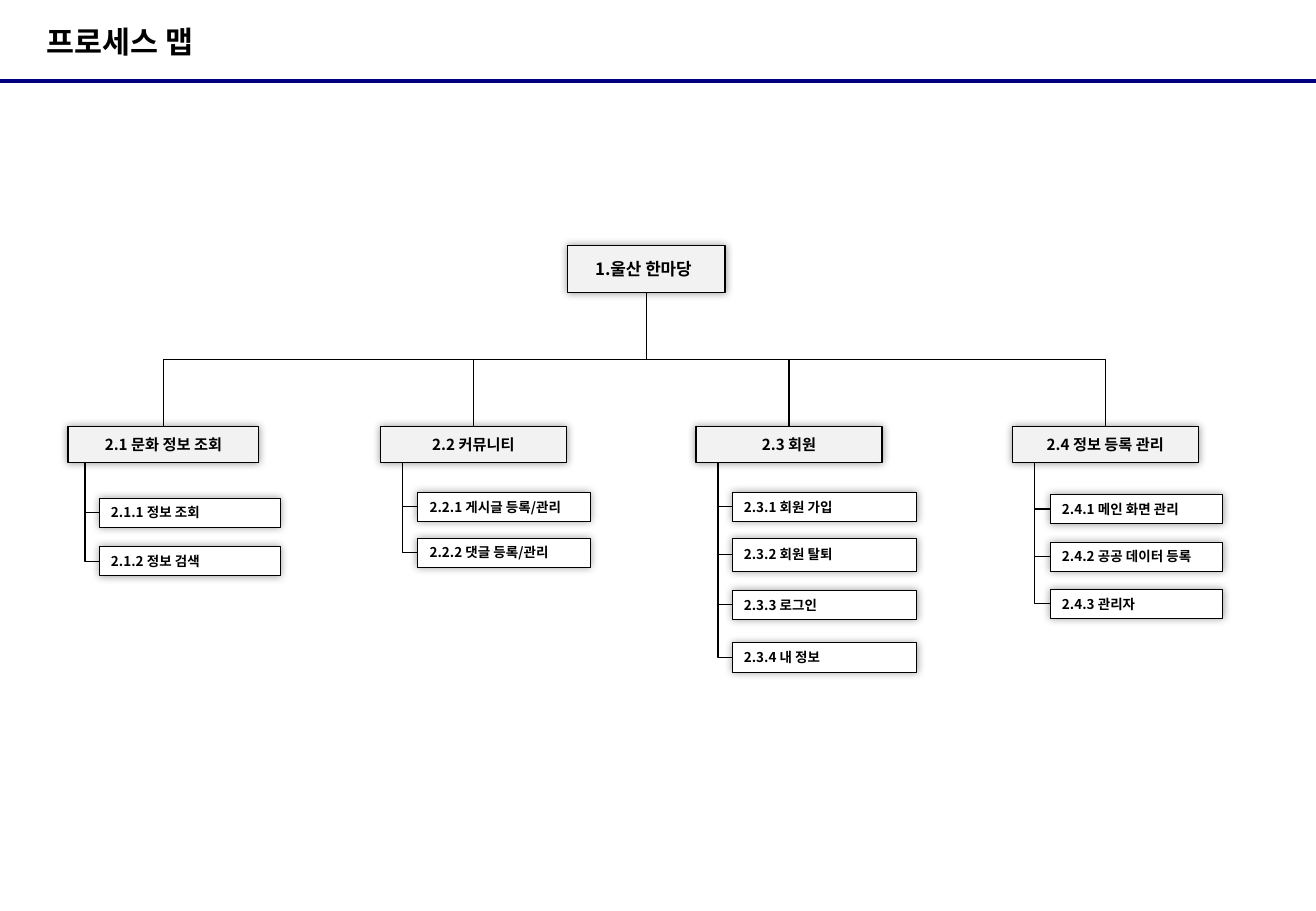
from dataclasses import dataclass

import pptx
import pptx.dml.color
import pptx.enum.shapes
import pptx.enum.text
import pptx.oxml
import pptx.oxml.ns
import pptx.util
from pptx.util import Cm, Pt

TITLE = "프로세스 맵"
ROOT = "1.울산 한마당"
# Lengths in cm; each step is (label, top, height).
BRANCHES = [
    dict(label="2.1 문화 정보 조회", left=1.42, width=3.99, spine=1.78,
         step_left=2.07, step_width=3.78,
         steps=[("2.1.1 정보 조회", 10.41, 0.61), ("2.1.2 정보 검색", 11.43, 0.61)]),
    dict(label="2.2 커뮤니티", left=7.95, width=3.89, spine=8.41,
         step_left=8.73, step_width=3.61,
         steps=[("2.2.1 게시글 등록/관리", 10.29, 0.61),
                ("2.2.2 댓글 등록/관리", 11.25, 0.61)]),
    dict(label="2.3 회원", left=14.55, width=3.89, spine=15.01,
         step_left=15.3, step_width=3.86,
         steps=[("2.3.1 회원 가입", 10.29, 0.61), ("2.3.2 회원 탈퇴", 11.25, 0.69),
                ("2.3.3 로그인", 12.34, 0.61), ("2.3.4 내 정보", 13.44, 0.61)]),
    dict(label="2.4 정보 등록 관리", left=21.16, width=3.89, spine=21.62,
         step_left=21.95, step_width=3.61,
         steps=[("2.4.1 메인 화면 관리", 10.34, 0.61),
                ("2.4.2 공공 데이터 등록", 11.33, 0.61),
                ("2.4.3 관리자", 12.32, 0.61)]),
]
PAGE_WIDTH, PAGE_HEIGHT = 27.51, 19.05
RULE_TOP = 1.7
ROOT_BOX = (11.86, 5.13, 3.3, 0.99)
BRANCH_TOP, BRANCH_HEIGHT = 8.92, 0.76


@dataclass(frozen=True)
class Theme:
    ink: str = "000000"
    rule: str = "000080"
    group_fill: str = "F2F2F2"
    step_fill: str = "FFFFFF"
    title_font: str = "Arial"
    body_font: str = "Noto Sans CJK KR"
    title_size: float = 18
    root_size: float = 10
    branch_size: float = 9
    step_size: float = 8
    rule_line: float = 2.25
    line: float = 0.75
    step_line: float = 0.25


THEME = Theme()
CENTER = pptx.enum.text.PP_ALIGN.CENTER
LEFT = pptx.enum.text.PP_ALIGN.LEFT
KIND = pptx.enum.shapes.MSO_CONNECTOR


def rgb(value):
    return pptx.dml.color.RGBColor.from_string(value)


def xml(tag, attributes="", inner=""):
    space = pptx.oxml.ns.nsdecls("a")
    return pptx.oxml.parse_xml(f"<a:{tag} {space} {attributes}>{inner}</a:{tag}>")


def write(shape, text, *, size, font=THEME.body_font, align=LEFT, margins=None):
    """Put one bold line in a shape; margins are left, top, right, bottom in cm."""
    frame = shape.text_frame
    frame.word_wrap = True
    frame.vertical_anchor = pptx.enum.text.MSO_ANCHOR.MIDDLE
    if margins:
        (frame.margin_left, frame.margin_top,
         frame.margin_right, frame.margin_bottom) = map(Cm, margins)
    para = frame.paragraphs[0]
    para.alignment = align
    span = para.add_run()
    span.text = text
    span.font.name = font
    span.font.size = Pt(size)
    span.font.bold = True
    span.font.color.rgb = rgb(THEME.ink)
    latin = span.font._element.find(pptx.oxml.ns.qn("a:latin"))
    latin.addnext(xml("ea", f'typeface="{THEME.body_font}"'))


def add_box(page, text, place, *, fill, line, **text_format):
    box = page.shapes.add_shape(
        pptx.enum.shapes.MSO_SHAPE.RECTANGLE, *map(Cm, place))
    box.fill.solid()
    box.fill.fore_color.rgb = rgb(fill)
    box.line.color.rgb = rgb(THEME.ink)
    box.line.width = Pt(line)
    box.shadow.inherit = False
    glow = xml("outerShdw", f'blurRad="{Pt(5)}" algn="ctr" rotWithShape="0"',
               f'<a:srgbClr val="{THEME.ink}"><a:alpha val="40000"/></a:srgbClr>')
    box._element.spPr.find(pptx.oxml.ns.qn("a:effectLst")).append(glow)
    write(box, text, **text_format)
    return box


def add_line(page, kind, start, end, *, color=THEME.ink, width=THEME.line):
    line = page.shapes.add_connector(kind, *map(Cm, start + end))
    line.line.color.rgb = rgb(color)
    line.line.width = Pt(width)
    line._element.spPr.append(xml("effectLst"))
    return line


def add_elbow(page, start, end, *, preset, boxes=None):
    """Draw an elbow that leaves its start downwards, glued to boxes if given."""
    elbow = add_line(page, KIND.ELBOW, start, end)
    if boxes:
        elbow.begin_connect(boxes[0], 2)
        elbow.end_connect(boxes[1], 0)
    across, down = abs(end[0] - start[0]), end[1] - start[1]
    elbow.left = Cm((start[0] + end[0] - down) / 2)
    elbow.top = Cm((start[1] + end[1] - across) / 2)
    elbow.width, elbow.height = Cm(down), Cm(across)
    # The outline runs sideways, so a quarter turn makes it run downwards.
    to_right = end[0] > start[0]
    frame = elbow._element.spPr.find(pptx.oxml.ns.qn("a:xfrm"))
    frame.set("rot", str((270 if to_right else 90) * 60000))
    frame.set("flipH", "1" if to_right else "0")
    frame.set("flipV", "0")
    elbow._element.spPr.find(pptx.oxml.ns.qn("a:prstGeom")).set("prst", preset)


def add_branch(page, branch, root, root_foot):
    head = add_box(
        page, branch["label"],
        (branch["left"], BRANCH_TOP, branch["width"], BRANCH_HEIGHT),
        fill=THEME.group_fill, line=THEME.line, size=THEME.branch_size, align=CENTER)
    add_elbow(page, root_foot, (branch["left"] + branch["width"] / 2, BRANCH_TOP),
              preset="bentConnector3", boxes=(root, head))
    for label, top, height in branch["steps"]:
        add_box(page, label, (branch["step_left"], top, branch["step_width"], height),
                fill=THEME.step_fill, line=THEME.step_line, size=THEME.step_size)
        add_elbow(page, (branch["spine"], BRANCH_TOP + BRANCH_HEIGHT),
                  (branch["step_left"], top + height / 2), preset="bentConnector2")


def main():
    deck = pptx.Presentation()
    deck.slide_width, deck.slide_height = Cm(PAGE_WIDTH), Cm(PAGE_HEIGHT)
    page = deck.slides.add_slide(deck.slide_layouts[6])

    add_line(page, KIND.STRAIGHT, (0, RULE_TOP), (PAGE_WIDTH, RULE_TOP),
             color=THEME.rule, width=THEME.rule_line)
    title = page.shapes.add_textbox(Cm(0.97), Cm(0), Cm(17.98), Cm(1.73))
    write(title, TITLE, size=THEME.title_size, font=THEME.title_font,
          margins=(0, 0, 0, 0))

    root = add_box(page, ROOT, ROOT_BOX, fill=THEME.group_fill, line=THEME.line,
                   size=THEME.root_size, align=CENTER,
                   margins=(0.13, 0.13, 0.25, 0.13))
    left, top, width, height = ROOT_BOX
    for branch in BRANCHES:
        add_branch(page, branch, root, (left + width / 2, top + height))
    deck.save("out.pptx")


if __name__ == "__main__":
    main()
